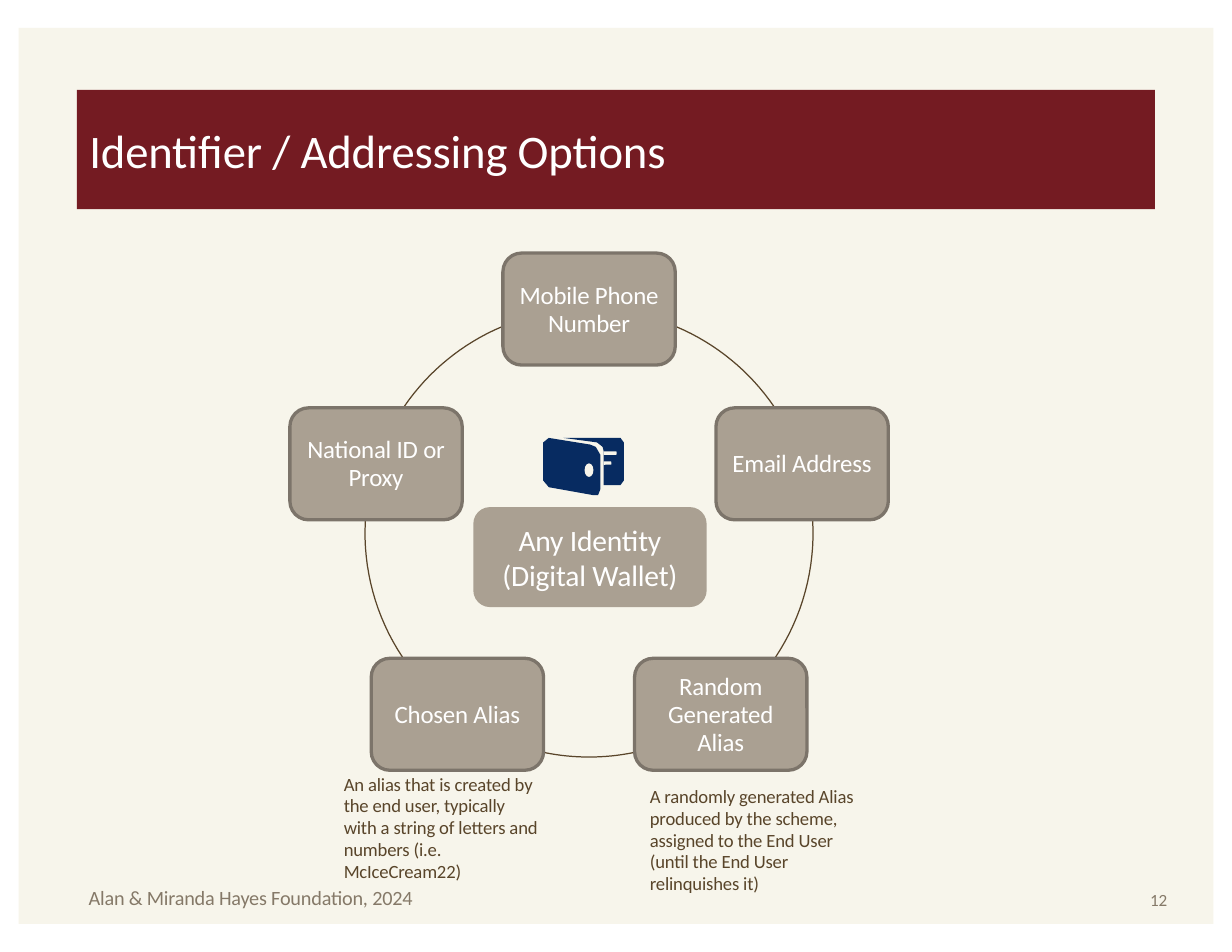
import math

import pptx
import pptx.dml.color
import pptx.enum.shapes
import pptx.enum.text
import pptx.util

Pt = pptx.util.Pt
RGBColor = pptx.dml.color.RGBColor
SHAPE = pptx.enum.shapes.MSO_SHAPE
ALIGN = pptx.enum.text.PP_ALIGN
ANCHOR = pptx.enum.text.MSO_ANCHOR

WHITE = RGBColor(0xFF, 0xFF, 0xFF)
CREAM = RGBColor(0xF7, 0xF5, 0xEB)
MAROON = RGBColor(0x74, 0x1B, 0x22)
TAUPE = RGBColor(0xAA, 0xA0, 0x92)
TAUPE_DARK = RGBColor(0x7C, 0x74, 0x6A)
BROWN = RGBColor(0x59, 0x45, 0x2A)
GREY = RGBColor(0x85, 0x79, 0x68)
NAVY = RGBColor(0x07, 0x2B, 0x61)


def style(sp, fill=None, line=None, width=0):
    sp.shadow.inherit = False
    if fill is None:
        sp.fill.background()
    else:
        sp.fill.solid()
        sp.fill.fore_color.rgb = fill
    if line is None:
        sp.line.fill.background()
    else:
        sp.line.color.rgb = line
        sp.line.width = Pt(width)


def write(sp, lines, size, color, align=ALIGN.LEFT, anchor=ANCHOR.TOP,
          margin=0, spacing=None):
    tf = sp.text_frame
    tf.word_wrap = True
    tf.vertical_anchor = anchor
    tf.margin_left = tf.margin_right = Pt(margin)
    tf.margin_top = tf.margin_bottom = 0
    p = tf.paragraphs[0]
    p.alignment = align
    if spacing:
        p.line_spacing = Pt(spacing)
    for i, line in enumerate(lines):
        if i:
            p.add_line_break()
        r = p.add_run()
        r.text = line
        r.font.name = "Calibri"
        r.font.size = Pt(size)
        r.font.color.rgb = color
        r.font._element.set("spc", "-10")


prs = pptx.Presentation()
prs.slide_width, prs.slide_height = Pt(792), Pt(612)
s = prs.slides.add_slide(prs.slide_layouts[6])
shapes = s.shapes

# Background panel and title bar
panel = shapes.add_shape(SHAPE.RECTANGLE, Pt(12), Pt(18), Pt(768), Pt(576))
style(panel, CREAM)
title = shapes.add_shape(SHAPE.RECTANGLE, Pt(49.5), Pt(57.75), Pt(693), Pt(76.75))
style(title, MAROON)
write(title, ["Identifier / Addressing Options"], 30, WHITE,
      anchor=ANCHOR.MIDDLE, margin=8)

# Ring arcs between the nodes, in degrees clockwise from the top
CX, CY, RADIUS = 378.7, 342.7, 144
STEPS = 16
for start, end in [(23, 55.6), (86.8, 123.6), (168.5, 191.5),
                   (236.4, 273.2), (304.4, 337)]:
    angles = [math.radians(start + (end - start) * i / STEPS)
              for i in range(STEPS + 1)]
    points = [(Pt(CX + RADIUS * math.sin(a)), Pt(CY - RADIUS * math.cos(a)))
              for a in angles]
    builder = shapes.build_freeform(*points[0])
    builder.add_line_segments(points[1:], close=False)
    style(builder.convert_to_shape(), line=BROWN, width=0.8)

# Five identifier nodes, evenly spaced on the ring
NODE_W, NODE_H = 110.8, 72
nodes = ["Mobile Phone Number", "Email Address", "Random Generated Alias",
         "Chosen Alias", "National ID or Proxy"]
for i, label in enumerate(nodes):
    a = 2 * math.pi * i / len(nodes)
    x = CX + RADIUS * math.sin(a) - NODE_W / 2
    y = CY - RADIUS * math.cos(a) - NODE_H / 2
    sp = shapes.add_shape(SHAPE.ROUNDED_RECTANGLE, Pt(x), Pt(y),
                          Pt(NODE_W), Pt(NODE_H))
    style(sp, TAUPE, TAUPE_DARK, 2.13)
    write(sp, [label], 16, WHITE, ALIGN.CENTER, ANCHOR.MIDDLE, 6, 18)

# Wallet icon: card behind, wallet in front
card = [(362.2, 281.5), (398.9, 281.5), (401, 284.4), (401, 308.9),
        (398.9, 311.8), (388.1, 311.8), (388.1, 290.2), (387.4, 287.3),
        (383.8, 284.4)]
wallet = [(349.2, 284.4), (352.8, 281.5), (379.4, 285.8), (383, 287.3),
          (385.9, 292.3), (385.9, 314.6), (384.5, 318.2), (380.9, 318.2),
          (352.8, 313.2), (349.2, 308.9)]
for outline in (card, wallet):
    points = [(Pt(x), Pt(y)) for x, y in outline]
    builder = shapes.build_freeform(*points[0])
    builder.add_line_segments(points[1:])
    style(builder.convert_to_shape(), NAVY)

# Wallet clasp and card lines
for kind, x, y, w, h in [(SHAPE.OVAL, 375.8, 297.9, 5.7, 8.7),
                         (SHAPE.ROUNDED_RECTANGLE, 388, 290.2, 8.4, 2.2),
                         (SHAPE.ROUNDED_RECTANGLE, 388, 296.6, 5, 2.2)]:
    style(shapes.add_shape(kind, Pt(x), Pt(y), Pt(w), Pt(h)), CREAM)

# Centre box
centre = shapes.add_shape(SHAPE.ROUNDED_RECTANGLE, Pt(304.3), Pt(326),
                          Pt(150), Pt(64.3))
style(centre, TAUPE)
write(centre, ["Any Identity", "(Digital Wallet)"], 19, WHITE,
      ALIGN.CENTER, ANCHOR.MIDDLE, 10, 22.7)

# Notes under the two alias nodes
chosen_note = ["An alias that is created by", "the end user, typically",
               "with a string of letters and", "numbers (i.e.",
               "McIceCream22)"]
random_note = ["A randomly generated Alias", "produced by the scheme,",
               "assigned to the End User", "(until the End User",
               "relinquishes it)"]
for x, y, w, lines in [(221, 497, 135, chosen_note),
                       (417.8, 505, 147, random_note)]:
    box = shapes.add_textbox(Pt(x), Pt(y), Pt(w), Pt(72))
    write(box, lines, 12, BROWN, spacing=14)

# Footer and page number
footer = shapes.add_textbox(Pt(57), Pt(569), Pt(230), Pt(18))
write(footer, ["Alan & Miranda Hayes Foundation, 2024"], 13, GREY)
number = shapes.add_textbox(Pt(731), Pt(571.5), Pt(19.5), Pt(15))
write(number, ["12"], 11, GREY, ALIGN.RIGHT)

prs.save("out.pptx")
